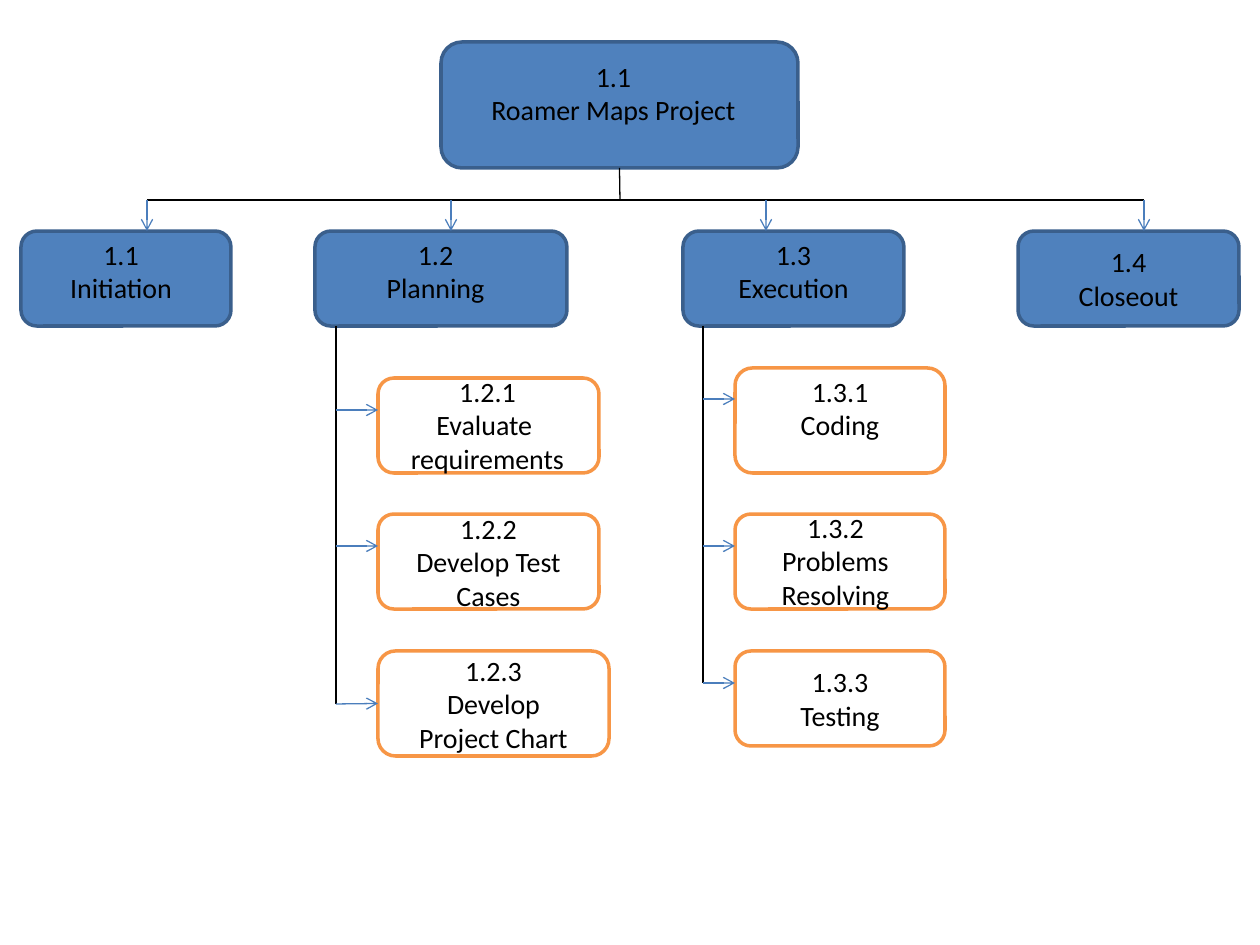
from lxml import etree
from pptx import Presentation
from pptx.dml.color import RGBColor
from pptx.enum.shapes import MSO_CONNECTOR as Connector, MSO_SHAPE as Shape
from pptx.enum.text import MSO_ANCHOR as Anchor, MSO_AUTO_SIZE as AutoSize, PP_ALIGN as Align
from pptx.oxml.ns import qn
from pptx.util import Emu, Pt

COLORS = {
    "phase": "4F81BD",
    "phase_edge": "3A5F8C",
    "task": "FFFFFF",
    "task_edge": "F79646",
    "text": "000000",
    "trunk": "000000",
    "arrow": "4B7EBC",
}
BOTTOM, LEFT = 2, 1
BRANCH_Y, PHASE_Y, PHASE_HEIGHT = 200, 231, 95

PROJECT = ((441, 42, 357, 126), (451, 53, 325, 81), "1.1\nRoamer Maps Project")
PHASES = [
    (21, 210, (42, 231, 158, 81), "1.1\nInitiation", 147),
    (315, 252, (325, 231, 221, 81), "1.2\nPlanning", 451),
    (683, 221, (683, 231, 221, 81), "1.3\nExecution", 766),
    (1018, 221, None, "1.4\nCloseout", 1144),
]
TASK_GROUPS = [
    (336, 704, [
        ((378, 378, 221, 95), (388, 368, 199, 115), "1.2.1\nEvaluate \nrequirements", 410),
        ((378, 514, 221, 95), None, "1.2.2\nDevelop Test Cases", 546),
        ((378, 651, 231, 105), None, "1.2.3\nDevelop\nProject Chart", 704),
    ]),
    (703, 683, [
        ((735, 368, 210, 105), (756, 368, 168, 81), "1.3.1\nCoding", 399),
        ((735, 514, 210, 95), (746, 504, 179, 115), "1.3.2\nProblems\nResolving", 546),
        ((735, 651, 210, 95), None, "1.3.3\nTesting", 683),
    ]),
]


def px(length):
    return Emu(round(length * 914400 / 126))


def color(name):
    return RGBColor.from_string(COLORS[name])


def write(frame, text):
    frame.word_wrap = True
    frame.text = text
    for paragraph in frame.paragraphs:
        paragraph.alignment = Align.CENTER
        paragraph.font.name = "Calibri"
        paragraph.font.size = Pt(16)
        paragraph.font.color.rgb = color("text")


def add_box(slide, area, label_area, text, role):
    box = slide.shapes.add_shape(Shape.ROUNDED_RECTANGLE, *map(px, area))
    box.shadow.inherit = False
    box.fill.solid()
    box.fill.fore_color.rgb = color(role)
    box.line.color.rgb = color(role + "_edge")
    box.line.width = Pt(2)
    if label_area:
        label = slide.shapes.add_textbox(*map(px, label_area))
        write(label.text_frame, text)
        label.text_frame.auto_size = AutoSize.SHAPE_TO_FIT_TEXT
    else:
        write(box.text_frame, text)
        box.text_frame.vertical_anchor = Anchor.MIDDLE
    return box


def add_line(slide, start, end, role="trunk"):
    line = slide.shapes.add_connector(Connector.STRAIGHT, *map(px, start + end))
    line.line.color.rgb = color(role)
    line.line.width = Pt(0.75)
    etree.SubElement(line._element.spPr, qn("a:effectLst"))
    return line


def add_arrow(slide, start, end):
    arrow = add_line(slide, start, end, "arrow")
    etree.SubElement(arrow.line._get_or_add_ln(), qn("a:tailEnd"), type="arrow")
    return arrow


def add_phases(slide):
    project = add_box(slide, *PROJECT, "phase")
    stem = add_line(slide, (620, 168), (620, BRANCH_Y))
    stem.begin_connect(project, BOTTOM)
    add_line(slide, (PHASES[0][-1], BRANCH_Y), (PHASES[-1][-1], BRANCH_Y))
    for left, width, label_area, text, arrow_x in PHASES:
        area = (left, PHASE_Y, width, PHASE_HEIGHT)
        add_box(slide, area, label_area, text, "phase")
        add_arrow(slide, (arrow_x, BRANCH_Y), (arrow_x, PHASE_Y))


def add_tasks(slide, trunk_x, trunk_end, tasks):
    add_line(slide, (trunk_x, PHASE_Y + PHASE_HEIGHT), (trunk_x, trunk_end))
    for area, label_area, text, arrow_y in tasks:
        left, top, _, height = area
        task = add_box(slide, area, label_area, text, "task")
        arrow = add_arrow(slide, (trunk_x, arrow_y), (left, arrow_y))
        if abs(top + height / 2 - arrow_y) < 1:
            arrow.end_connect(task, LEFT)


def main():
    deck = Presentation()
    deck.slide_width, deck.slide_height = px(1260), px(945)
    slide = deck.slides.add_slide(deck.slide_layouts[6])
    add_phases(slide)
    for group in TASK_GROUPS:
        add_tasks(slide, *group)
    deck.save("out.pptx")


if __name__ == "__main__":
    main()
